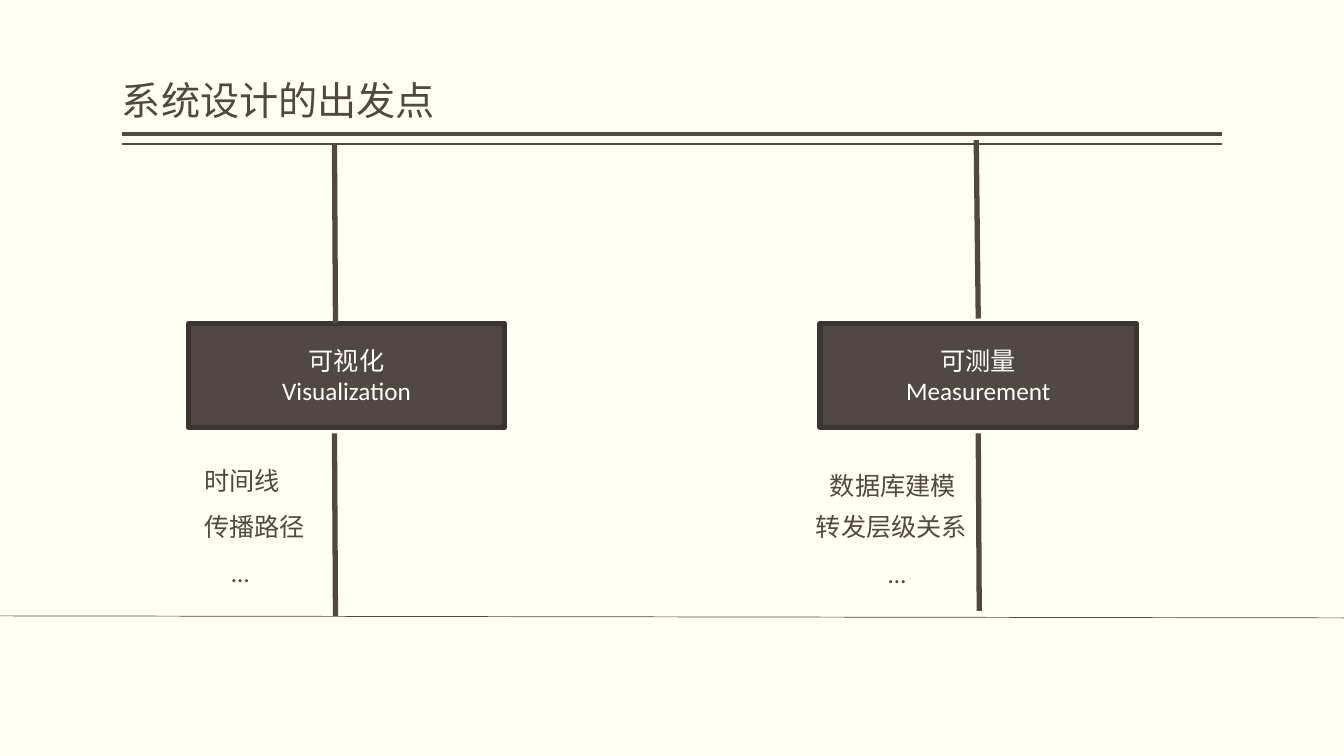
from lxml.etree import SubElement
from pptx import Presentation
from pptx.dml.color import RGBColor
from pptx.enum.shapes import MSO_CONNECTOR, MSO_SHAPE
from pptx.enum.text import MSO_ANCHOR, PP_ALIGN
from pptx.oxml.ns import qn
from pptx.util import Inches, Pt

theme = {
    "paper": RGBColor.from_string("FFFFF3"),
    "brown": RGBColor.from_string("514843"),
    "edge": RGBColor.from_string("3B3431"),
    "white": RGBColor.from_string("FFFFFF"),
    "title": Pt(28),
    "body": Pt(18),
    "thick": Pt(3.77),
    "latin": "Calibri",
    "asian": "Noto Sans CJK SC",
}

deck = Presentation()
deck.slide_width, deck.slide_height = Inches(13.34), Inches(7.5)
slide = deck.slides.add_slide(deck.slide_layouts[6])
slide.background.fill.solid()
slide.background.fill.fore_color.rgb = theme["paper"]
shapes = slide.shapes


def write(shape, lines, size, color, frame, para):
    text = shape.text_frame
    for key, value in {"word_wrap": True, **frame}.items():
        setattr(text, key, value)
    text.text = "\n".join(lines)
    for item in text.paragraphs:
        for key, value in para.items():
            setattr(item, key, value)
        font = item.runs[0].font
        for key, value in {"size": size, "name": theme["latin"]}.items():
            setattr(font, key, value)
        font.color.rgb = color
        SubElement(item.runs[0]._r.get_or_add_rPr(), qn("a:ea"), typeface=theme["asian"])


def draw(start, end, width):
    line = shapes.add_connector(
        MSO_CONNECTOR.STRAIGHT, *[Inches(value) for value in start + end])
    line.line.width = width
    line.line.color.rgb = theme["brown"]
    SubElement(line._element.spPr, qn("a:effectLst"))


for y, width in [(1.33, 3), (1.43, 1)]:
    draw((12.13, y), (1.21, y), Pt(width))

title = shapes.add_textbox(Inches(1.21), Inches(0.08), Inches(10.91), Inches(1.2))
write(title, ["系统设计的出发点"], theme["title"], theme["brown"],
      {"vertical_anchor": MSO_ANCHOR.BOTTOM, "margin_left": 0, "margin_right": 0},
      {"line_spacing": 0.9})

for x, lines in [(1.87, ["可视化", "Visualization"]), (8.14, ["可测量", "Measurement"])]:
    box = shapes.add_shape(
        MSO_SHAPE.RECTANGLE, Inches(x), Inches(3.21), Inches(3.14), Inches(1.03))
    box.shadow.inherit = False
    box.fill.solid()
    box.fill.fore_color.rgb = theme["brown"]
    box.line.color.rgb = theme["edge"]
    box.line.width = theme["thick"]
    write(box, lines, theme["body"], theme["white"],
          {"vertical_anchor": MSO_ANCHOR.MIDDLE}, {"alignment": PP_ALIGN.CENTER})

draw((0, 6.11), (13.34, 6.13), Pt(0.5))
for start, end in [
    ((3.32, 1.44), (3.33, 3.21)),
    ((9.69, 1.39), (9.71, 3.16)),
    ((3.32, 4.3), (3.33, 6.11)),
    ((9.71, 4.3), (9.72, 6.06)),
]:
    draw(start, end, theme["thick"])

for x, y, width, label in [
    (1.93, 4.57, 1.33, "时间线"),
    (1.93, 5.02, 1.33, "传播路径"),
    (2.2, 5.48, 0.84, "…"),
    (8.14, 4.62, 1.56, "数据库建模"),
    (8, 5.02, 1.75, "转发层级关系"),
    (8.72, 5.49, 0.7, "…"),
]:
    note = shapes.add_textbox(Inches(x), Inches(y), Inches(width), Inches(0.4))
    write(note, [label], theme["body"], theme["brown"], {}, {})

deck.save("out.pptx")
